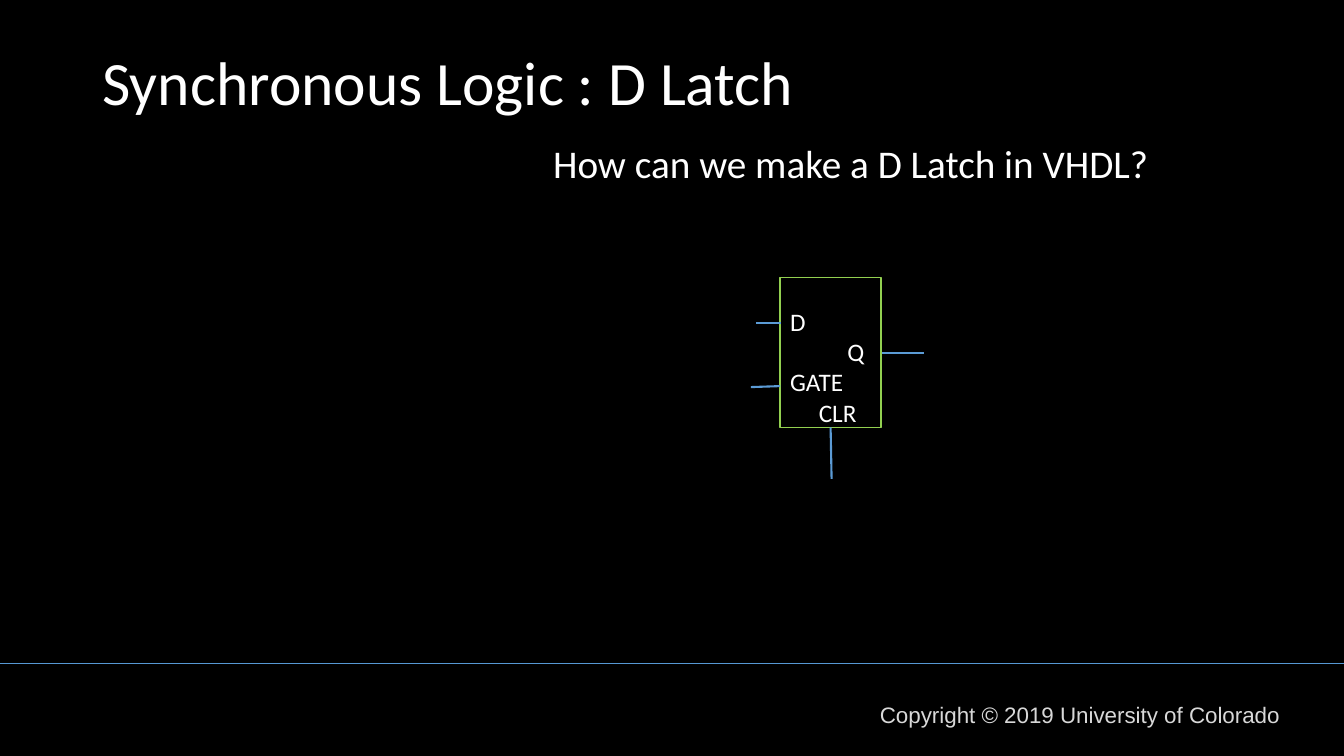
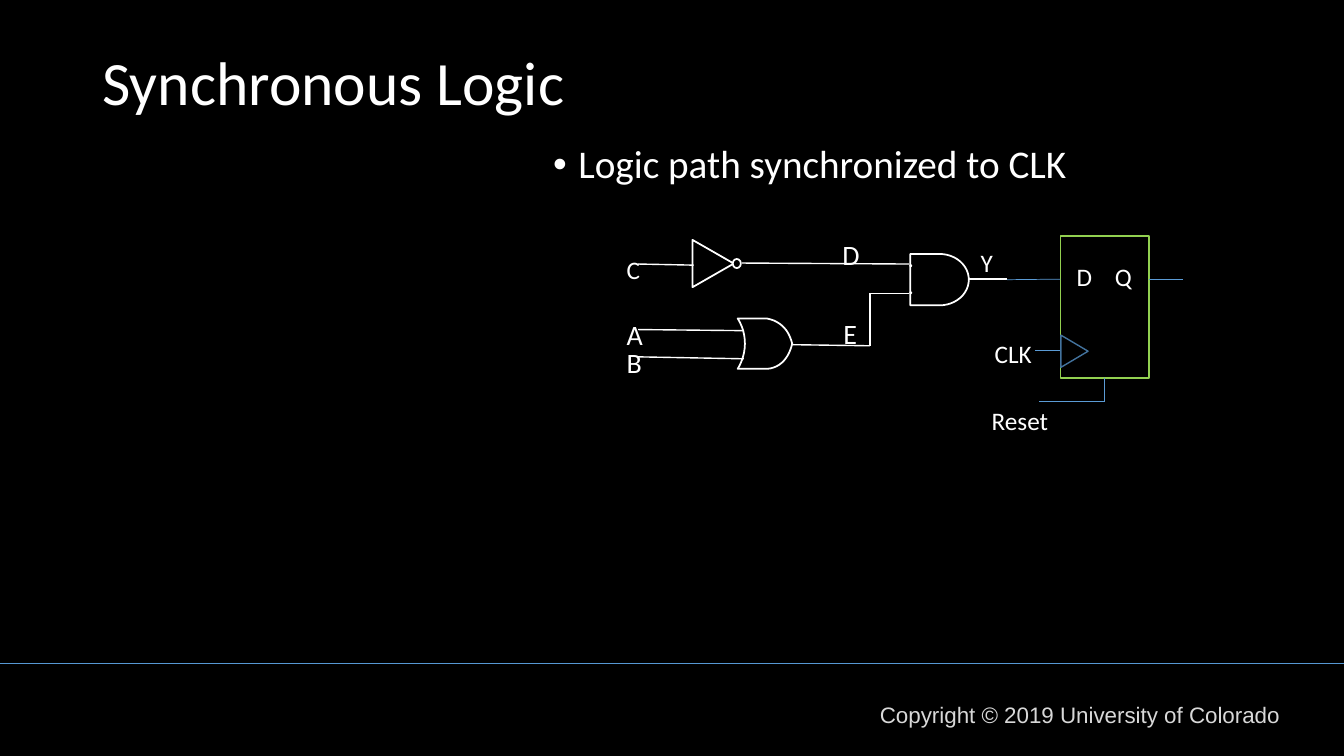
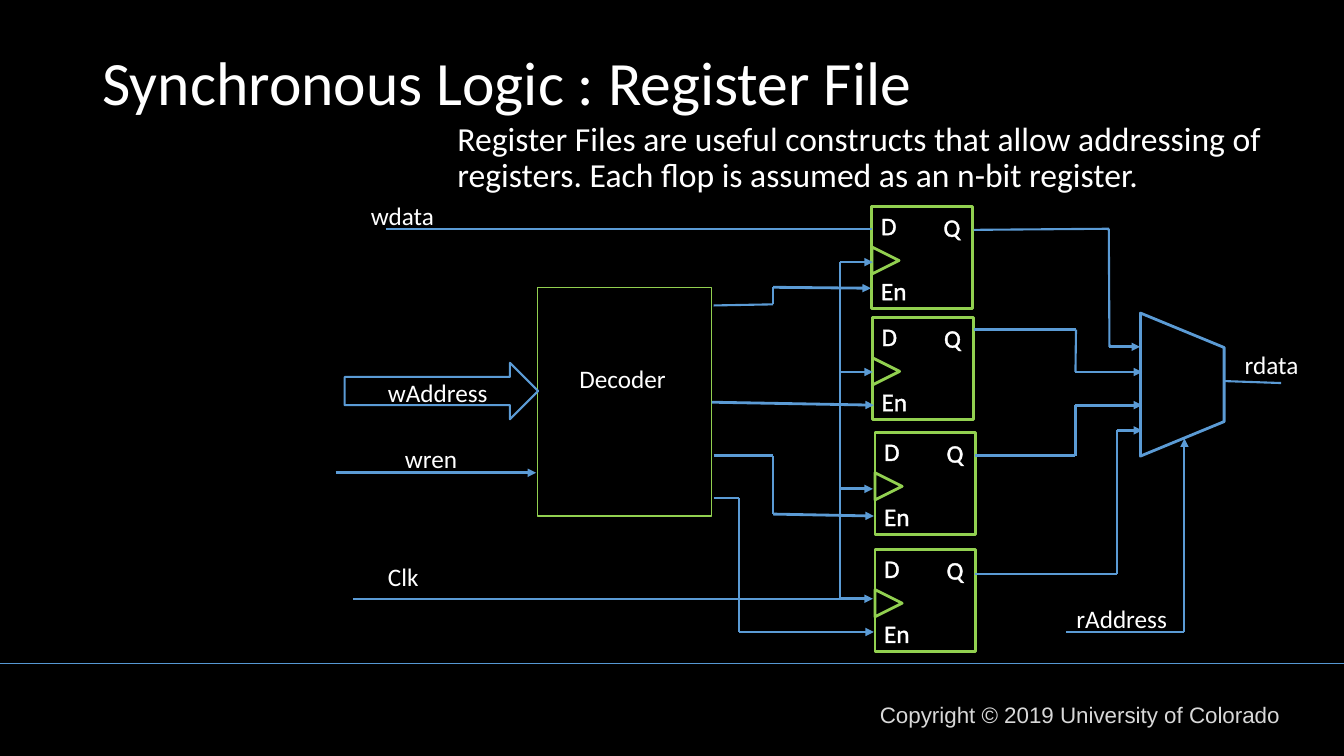
from lxml import etree
from pptx import Presentation
from pptx.dml.color import RGBColor
from pptx.enum.shapes import MSO_CONNECTOR, MSO_SHAPE
from pptx.enum.text import MSO_ANCHOR, MSO_AUTO_SIZE, PP_ALIGN
from pptx.oxml.ns import qn
from pptx.util import Pt

RECTANGLE = MSO_SHAPE.RECTANGLE
TRIANGLE = MSO_SHAPE.ISOSCELES_TRIANGLE
TRAPEZOID = MSO_SHAPE.TRAPEZOID
BLOCK_ARROW = MSO_SHAPE.RIGHT_ARROW
AND_GATE = MSO_SHAPE.FLOWCHART_DELAY
DOT = MSO_SHAPE.FLOWCHART_CONNECTOR
INVERTER = MSO_SHAPE.FLOWCHART_MERGE
STRAIGHT = MSO_CONNECTOR.STRAIGHT
LEFT = PP_ALIGN.LEFT
MIDDLE = MSO_ANCHOR.MIDDLE
TOP = MSO_ANCHOR.TOP
FIT_SHAPE = MSO_AUTO_SIZE.SHAPE_TO_FIT_TEXT
NO_FIT = MSO_AUTO_SIZE.NONE

COLORS = {
    "black": "000000",
    "white": "FFFFFF",
    "footer": "D8D8D8",
    "rule": "5698D3",
    "blue": "5B9BD5",
    "dark blue": "43739E",
    "green": "92D050",
}


def format_text(paragraph, size, color="white", name="Calibri"):
    paragraph.alignment = LEFT
    for run in paragraph.runs:
        run.font.name = name
        run.font.size = Pt(size)
        run.font.color.rgb = RGBColor.from_string(COLORS[color])


def format_shape(shape, color, weight, filled):
    shape.shadow.inherit = False
    if filled:
        shape.fill.solid()
        shape.fill.fore_color.rgb = RGBColor.from_string(COLORS["black"])
    else:
        shape.fill.background()
    shape.line.color.rgb = RGBColor.from_string(COLORS[color])
    shape.line.width = Pt(weight)


presentation = Presentation()
presentation.slide_width = Pt(960)
presentation.slide_height = Pt(540)
background = presentation.slide_master.background.fill
background.solid()
background.fore_color.rgb = RGBColor.from_string(COLORS["black"])
title_only = presentation.slide_layouts[5]

pages = [
    ("Synchronous Logic : D Latch",
     "How can we make a D Latch in VHDL?", 28, (388, 100, 522, 363.6), False),
    ("Synchronous Logic",
     "Logic path synchronized to CLK", 28, (388, 100, 522, 363.6), True),
    ("Synchronous Logic : Register File",
     "Register Files are useful constructs that allow addressing of registers. "
     "Each flop is assumed as an n-bit register.", 24, (319.7, 83.8, 589.7, 69), False),
]
slides = []
for title_text, body_text, body_size, body_box, bulleted in pages:
    slide = presentation.slides.add_slide(title_only)
    slides.append(slide)
    title = slide.shapes.title
    title.left, title.top, title.width, title.height = Pt(66), Pt(28.8), Pt(828), Pt(64.8)
    body = slide.shapes.add_textbox(*[Pt(value) for value in body_box])
    footer = slide.shapes.add_textbox(Pt(621.4), Pt(497.5), Pt(338.4), Pt(26.6))
    for box, text, size, color, font, anchor, spacing in [
        (title, title_text, 44, "white", "Calibri", MIDDLE, 0.9),
        (body, body_text, body_size, "white", "Calibri", TOP, 0.9),
        (footer, "Copyright © 2019 University of Colorado", 16, "footer", "Arial", TOP, 1.0),
    ]:
        frame = box.text_frame
        frame.text = text
        frame.word_wrap = True
        frame.auto_size = NO_FIT
        frame.vertical_anchor = anchor
        paragraph = frame.paragraphs[0]
        paragraph.line_spacing = spacing
        if box is body and bulleted:
            properties = paragraph._p.get_or_add_pPr()
            properties.set("marL", str(Pt(18)))
            properties.set("indent", str(-Pt(18)))
            etree.SubElement(properties, qn("a:buFont")).set("typeface", "Arial")
            etree.SubElement(properties, qn("a:buChar")).set("char", "•")
        format_text(paragraph, size, color, font)

latch_slide, path_slide, register_slide = slides

shapes = [
    (latch_slide, RECTANGLE, (557.3, 198, 72, 107.3), 0, "green", 1, True),
    (path_slide, AND_GATE, (650.2, 181.4, 41.8, 36.7), 0, "white", 1.25, True),
    (path_slide, DOT, (650.2, 189.4, 0.7, 0.7), 0, "white", 1.25, True),
    (path_slide, DOT, (650.2, 208.8, 0.7, 0.7), 0, "white", 1.25, True),
    (path_slide, INVERTER, (492.5, 173.5, 33.8, 29.5), 270, "white", 1.25, True),
    (path_slide, DOT, (523.4, 185, 5.8, 6.5), 0, "white", 1.25, True),
    (path_slide, RECTANGLE, (757.4, 168.5, 63.4, 101.5), 0, "green", 1, False),
    (path_slide, TRIANGLE, (756, 241.2, 23, 19.4), 90, "dark blue", 1, False),
    (register_slide, TRAPEZOID, (793.4, 244.8, 102.2, 59.8), 90, "blue", 2, False),
    (register_slide, RECTANGLE, (383.8, 205.2, 124.6, 163.4), 0, "green", 1, False),
    (register_slide, BLOCK_ARROW, (246.2, 259.2, 138.2, 40.3), 0, "blue", 1.5, False),
]

labels = [
    (path_slide, "Y", 693.4, 172.8, 17.3, 18, False),
    (path_slide, "C", 440.6, 177.8, 18, 18, False),
    (path_slide, "A", 440.6, 223.2, 19.4, 20, False),
    (path_slide, "B", 440.6, 243.4, 18.7, 20, False),
    (path_slide, "D", 594.7, 166.3, 19.4, 20, False),
    (path_slide, "E", 595.4, 222.5, 18, 20, False),
    (path_slide, "D", 762, 183.4, 26, 18, False),
    (path_slide, "Q", 789.3, 183.4, 26, 18, False),
    (path_slide, "CLK", 703.4, 238.3, 41.8, 18, False),
    (path_slide, "Reset", 701.3, 285.8, 55.4, 18, False),
    (register_slide, "Clk", 270, 397.4, 36.7, 18, False),
    (register_slide, "wdata", 257.8, 139.7, 59.8, 18, False),
    (register_slide, "rdata", 882, 246.2, 53.3, 18, False),
    (register_slide, "wAddress", 270, 265.7, 86.4, 18, False),
    (register_slide, "wren", 282.2, 313.2, 52.6, 18, False),
    (register_slide, "rAddress", 761.8, 427.7, 79.9, 18, False),
    (register_slide, "Decoder", 406.8, 255.6, 97.2, 18, False),
]

for left, top in [(622.8, 147.6), (623.2, 226.8), (625, 308.9), (625, 392.4)]:
    shapes += [
        (register_slide, RECTANGLE, (left, top, 72, 72.8), 0, "green", 2, True),
        (register_slide, TRIANGLE, (left, top + 28.8, 19.4, 19.4), 90, "green", 2, True),
    ]
    labels += [
        (register_slide, "D", left - 0.6, top - 1.2, 26, 18, True),
        (register_slide, "Q", left + 44, top, 26, 18, True),
        (register_slide, "En", left - 0.6, top + 45.3, 33, 18, True),
    ]

for slide, kind, box, rotation, color, weight, filled in shapes:
    shape = slide.shapes.add_shape(kind, *[Pt(value) for value in box])
    shape.rotation = rotation
    format_shape(shape, color, weight, filled)
    if kind == TRAPEZOID:
        shape.adjustments[0] = 0.412
    if slide is latch_slide:
        frame = shape.text_frame
        frame.text = "D\nQ\nGATE\nCLR"
        frame.vertical_anchor = TOP
        frame.margin_top = Pt(20.7)
        frame.margin_bottom = 0
        for paragraph, indent in zip(frame.paragraphs, [0, 41, 0, 20.5]):
            paragraph._p.get_or_add_pPr().set("marL", str(Pt(indent)))
            format_text(paragraph, 18)

or_gate_curves = [
    [(547.9, 227.5), (558.7, 229.7), (563.8, 236.9), (565.9, 245.5)],
    [(565.9, 245.5), (563.8, 254.9), (558, 262.8), (547.9, 263.5)],
    [(527, 263.5), (533.5, 252.7), (534.2, 239), (527, 227.5)],
]
outline = []
for curve in or_gate_curves:
    for step in range(13):
        t = step / 12
        weights = [(1 - t) ** 3, 3 * t * (1 - t) ** 2, 3 * t ** 2 * (1 - t), t ** 3]
        outline.append([
            Pt(sum(weight * point[axis] for weight, point in zip(weights, curve)))
            for axis in range(2)
        ])
builder = path_slide.shapes.build_freeform(Pt(527), Pt(227.5))
builder.add_line_segments(outline, close=True)
format_shape(builder.convert_to_shape(), "white", 1.25, True)

wires = [(slide, "rule", 1, 0, [(0, 473.8), (960, 473.8)]) for slide in slides]
for points in [
    [(593.3, 305.3), (594, 342)],
    [(630, 252), (660.2, 252)],
    [(536.4, 276.5), (557.3, 275.8)],
    [(540, 230.4), (558, 230.4)],
]:
    wires.append((latch_slide, "blue", 1.5, 0, points))
for points in [
    [(455.8, 188.6), (495.4, 189.4)],
    [(529.9, 187.9), (649.4, 188.6)],
    [(455.8, 235.4), (531.4, 236.2)],
    [(455.8, 254.9), (531.4, 256.3)],
    [(565.2, 246.2), (621.4, 247), (621.4, 209.5), (649.4, 209.5)],
    [(691.9, 199.4), (719.3, 199.4)],
]:
    wires.append((path_slide, "white", 1, 0, points))
for points in [
    [(719.3, 199.8), (757.4, 199.4)],
    [(820.8, 199.4), (845.3, 199.4)],
    [(739.4, 250.6), (757.4, 250.6)],
    [(742.3, 286.6), (789.1, 286.6), (789.1, 270)],
]:
    wires.append((path_slide, "blue", 0.5, 0, points))
for arrow_weight, points in [
    (0, [(275.8, 163.4), (622.8, 163.4)]),
    (0, [(874.1, 272.2), (915.1, 273.6)]),
    (2, [(239.8, 337.7), (383, 337.7)]),
    (2, [(252, 427.7), (600, 427.7), (623.5, 427.7)]),
    (2, [(600, 427.7), (600, 187.2), (623.5, 187.2)]),
    (2, [(600, 265.7), (623.5, 265.7)]),
    (2, [(600, 349.2), (623.5, 349.2)]),
    (2, [(509.8, 218.2), (552.2, 217.4), (552.2, 205.2), (622.1, 205.9)]),
    (2, [(508.3, 287.3), (624.2, 289.4)]),
    (2, [(509.8, 325.4), (552.2, 325.4), (552.2, 367.2), (624.2, 368.6)]),
    (2, [(509.8, 355.7), (528, 355.7), (528, 451.4), (624.2, 451.4)]),
    (2, [(695.5, 164.2), (792, 163.4), (792.5, 247.7), (814.3, 247.7)]),
    (2, [(695.5, 235.4), (768.6, 235.4), (768.2, 265.7), (815.8, 265.7)]),
    (2, [(696.2, 325.4), (768.2, 325.4), (768.2, 289.4), (815.8, 289.4)]),
    (2, [(696.2, 409.7), (797.8, 409.7), (797.8, 307.4), (815.8, 307.4)]),
    (1.5, [(761.8, 451.4), (846, 451.4), (846, 313.2)]),
]:
    wires.append((register_slide, "blue", 1.5, arrow_weight, points))

for slide, color, weight, arrow_weight, points in wires:
    for start, end in zip(points, points[1:]):
        connector = slide.shapes.add_connector(
            STRAIGHT, *[Pt(value) for value in start + end])
        connector.line.color.rgb = RGBColor.from_string(COLORS[color])
        connector.line.width = Pt(weight)
        if arrow_weight and end == points[-1]:
            connector.line.width = Pt(arrow_weight)
            line = connector.line._get_or_add_ln()
            etree.SubElement(line, qn("a:tailEnd")).set("type", "triangle")
        etree.SubElement(connector._element.spPr, qn("a:effectLst"))

for slide, text, left, top, width, size, outlined in labels:
    label = slide.shapes.add_textbox(Pt(left), Pt(top), Pt(width), Pt(29))
    frame = label.text_frame
    frame.text = text
    frame.word_wrap = False
    frame.auto_size = FIT_SHAPE
    paragraph = frame.paragraphs[0]
    format_text(paragraph, size)
    if outlined:
        text_line = etree.Element(qn("a:ln"), w=str(Pt(0.5)))
        fill = etree.SubElement(text_line, qn("a:solidFill"))
        etree.SubElement(fill, qn("a:srgbClr")).set("val", COLORS["white"])
        paragraph.runs[0]._r.get_or_add_rPr().insert(0, text_line)

presentation.save("out.pptx")
